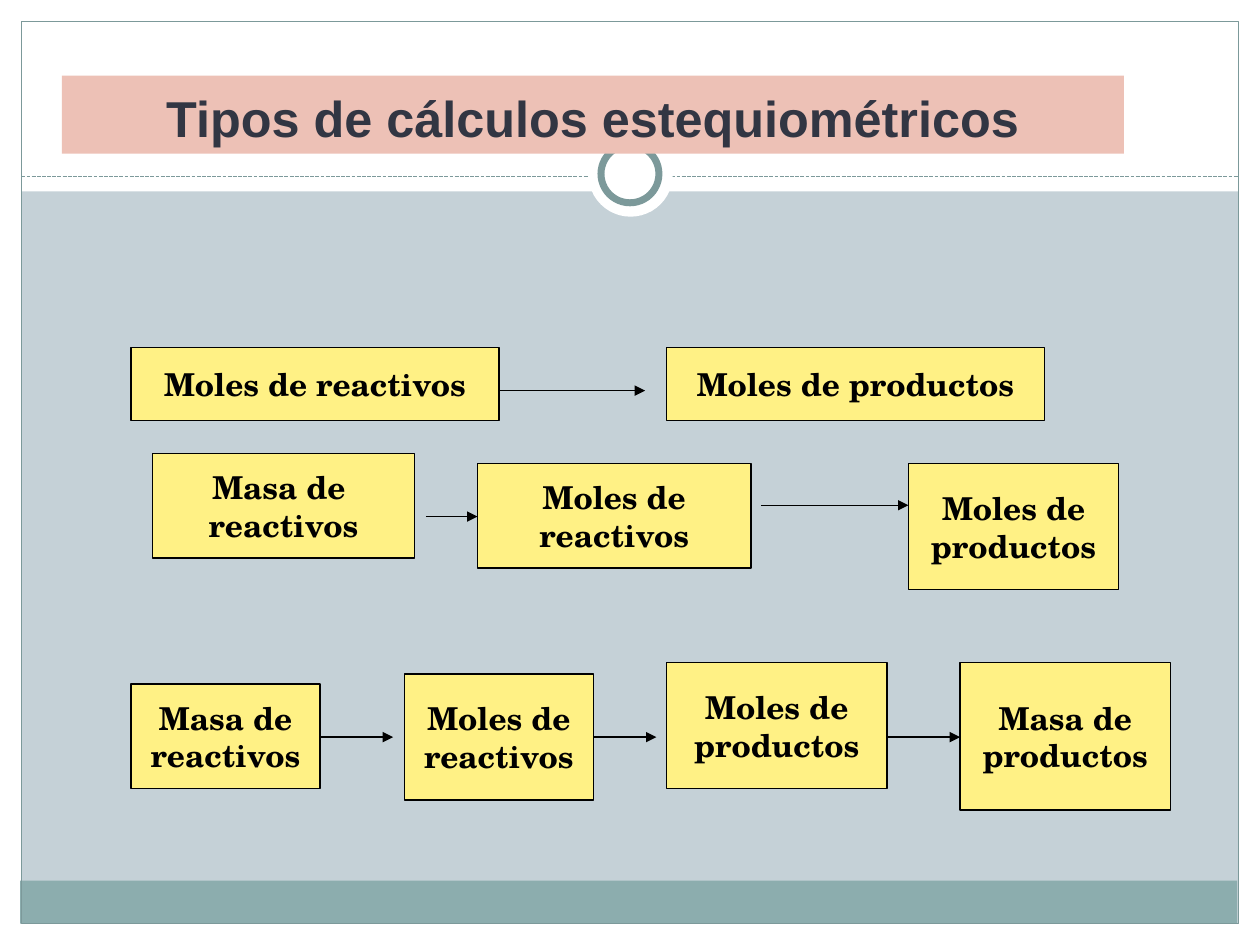
"""Build a slide on the kinds of stoichiometric calculation."""
from typing import NamedTuple, Optional

from lxml.etree import SubElement
from pptx import Presentation
from pptx.dml.color import RGBColor
from pptx.enum.dml import MSO_LINE
from pptx.enum.shapes import MSO_CONNECTOR, MSO_SHAPE
from pptx.enum.text import MSO_ANCHOR as ANCHOR, MSO_AUTO_SIZE, PP_ALIGN
from pptx.oxml.ns import qn
from pptx.util import Inches, Pt

WHITE = RGBColor(0xFF, 0xFF, 0xFF)
BLACK = RGBColor(0x00, 0x00, 0x00)
BACKGROUND = RGBColor(0xC5, 0xD1, 0xD7)
TEAL = RGBColor(0x8C, 0xAD, 0xAE)
FRAME = RGBColor(0x7C, 0x99, 0x9A)
PINK = RGBColor(0xED, 0xC1, 0xB6)
NAVY = RGBColor(0x32, 0x36, 0x43)
YELLOW = RGBColor(0xFF, 0xF1, 0x85)


class Panel(NamedTuple):
    left: float
    top: float
    width: float
    height: float
    fill: Optional[RGBColor] = WHITE
    line: Optional[RGBColor] = None
    weight: float = 0.75
    kind: MSO_SHAPE = MSO_SHAPE.RECTANGLE


class Step(NamedTuple):
    text: str
    left: float
    top: float
    width: float
    height: float


class Arrow(NamedTuple):
    start: float
    end: float
    y: float


DECOR = [
    Panel(0, 7.33, 10, 0.17),
    Panel(0, 0, 10, 1.52),
    Panel(0, 0, 0.17, 7.5),
    Panel(9.83, 0, 0.17, 7.5),
    Panel(0.16, 6.99, 9.66, 0.34, TEAL),
    Panel(0.17, 0.17, 9.66, 7.16, None, FRAME),
]
RINGS = [
    Panel(4.67, 1.05, 0.67, 0.67, kind=MSO_SHAPE.OVAL),
    Panel(4.77, 1.15, 0.46, 0.46, WHITE, FRAME, 4, MSO_SHAPE.OVAL),
]
STEPS = [
    Step("Moles de reactivos", 1.04, 2.76, 2.92, 0.58),
    Step("Moles de productos", 5.29, 2.76, 3, 0.58),
    Step("Masa de \nreactivos", 1.21, 3.6, 2.08, 0.83),
    Step("Moles de\nreactivos", 3.79, 3.68, 2.17, 0.83),
    Step("Moles de\nproductos", 7.21, 3.68, 1.67, 1),
    Step("Masa de\nreactivos", 1.04, 5.43, 1.5, 0.83),
    Step("Moles de\nreactivos", 3.21, 5.35, 1.5, 1),
    Step("Moles de\nproductos", 5.29, 5.26, 1.75, 1),
    Step("Masa de\nproductos", 7.62, 5.26, 1.67, 1.17),
]
ARROWS = [
    Arrow(3.96, 5.12, 3.1),
    Arrow(3.38, 3.79, 4.1),
    Arrow(6.04, 7.21, 4.01),
    Arrow(2.54, 3.12, 5.85),
    Arrow(4.71, 5.21, 5.85),
    Arrow(7.04, 7.62, 5.85),
]


def set_text(sp, text: str, *, font: str, size: float, color: RGBColor,
             anchor: ANCHOR = ANCHOR.MIDDLE, wrap: bool = False) -> None:
    tf = sp.text_frame
    tf.text = text
    tf.auto_size = MSO_AUTO_SIZE.NONE
    tf.word_wrap = wrap
    tf.vertical_anchor = anchor
    for p in tf.paragraphs:
        p.alignment = PP_ALIGN.CENTER
        for r in p.runs:
            r.font.name = font
            r.font.size = Pt(size)
            r.font.bold = True
            r.font.color.rgb = color


def add_panel(s, panel: Panel):
    box = map(Inches, (panel.left, panel.top, panel.width, panel.height))
    sp = s.shapes.add_shape(panel.kind, *box)
    sp.shadow.inherit = False
    if panel.fill is None:
        sp.fill.background()
    else:
        sp.fill.solid()
        sp.fill.fore_color.rgb = panel.fill
    if panel.line is None:
        sp.line.fill.background()
    else:
        sp.line.color.rgb = panel.line
        sp.line.width = Pt(panel.weight)
    return sp


def add_step(s, step: Step) -> None:
    sp = add_panel(s, Panel(*step[1:], fill=YELLOW, line=BLACK))
    set_text(sp, step.text, font="TeX Gyre Schola", size=18, color=BLACK)


def add_line(s, start: float, end: float, y: float, color: RGBColor):
    cxn = s.shapes.add_connector(MSO_CONNECTOR.STRAIGHT, Inches(start),
                                 Inches(y), Inches(end), Inches(y))
    cxn.line.color.rgb = color
    cxn.line.width = Pt(0.75)
    SubElement(cxn._element.spPr, qn("a:effectLst"))
    return cxn


def add_arrow(s, arrow: Arrow) -> None:
    cxn = add_line(s, *arrow, BLACK)
    SubElement(cxn.line._get_or_add_ln(), qn("a:tailEnd"), type="triangle")


def add_title(s, text: str) -> None:
    sp = s.shapes.title
    sp.left, sp.top = Inches(0.49), Inches(0.6)
    sp.width, sp.height = Inches(8.43), Inches(0.62)
    sp.fill.solid()
    sp.fill.fore_color.rgb = PINK
    set_text(sp, text, font="Arial", size=28.8, color=NAVY,
             anchor=ANCHOR.BOTTOM, wrap=True)
    s.shapes._spTree.append(sp._element)


def main() -> None:
    prs = Presentation()
    prs.slide_width, prs.slide_height = Inches(10), Inches(7.5)
    s = prs.slides.add_slide(prs.slide_layouts[5])
    s.background.fill.solid()
    s.background.fill.fore_color.rgb = BACKGROUND
    for panel in DECOR:
        add_panel(s, panel)
    add_line(s, 0.17, 9.83, 1.4, FRAME).line.dash_style = MSO_LINE.SQUARE_DOT
    for ring in RINGS:
        add_panel(s, ring)
    add_title(s, "Tipos de cálculos estequiométricos")
    for step in STEPS:
        add_step(s, step)
    for arrow in ARROWS:
        add_arrow(s, arrow)
    prs.save("out.pptx")


if __name__ == "__main__":
    main()
